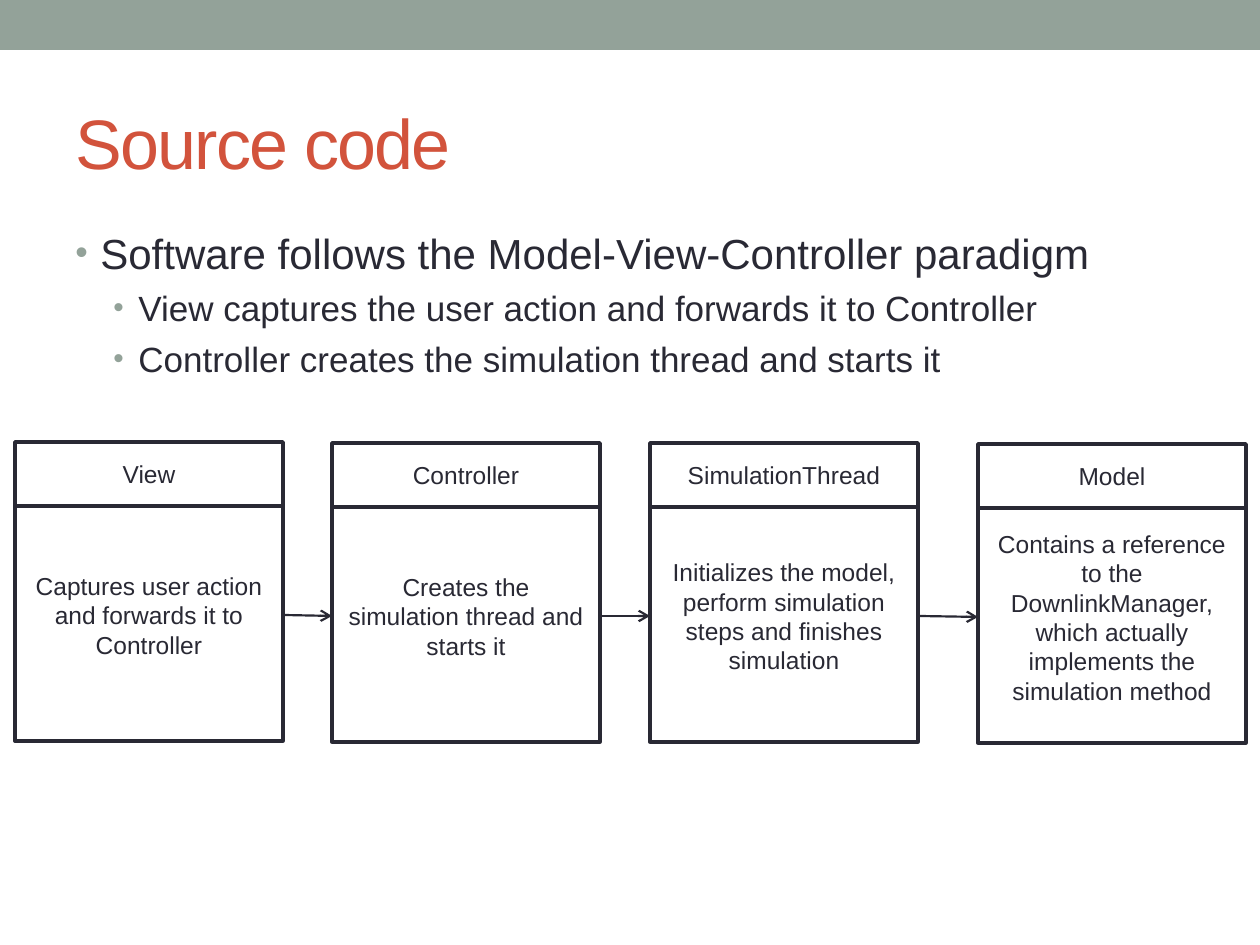
from itertools import pairwise

from lxml import etree
from pptx import Presentation
from pptx.dml.color import RGBColor
from pptx.enum.shapes import MSO_CONNECTOR, MSO_SHAPE
from pptx.enum.text import MSO_ANCHOR, PP_ALIGN
from pptx.oxml.ns import qn
from pptx.util import Emu, Pt

RECTANGLE = MSO_SHAPE.RECTANGLE
STRAIGHT = MSO_CONNECTOR.STRAIGHT
MIDDLE = MSO_ANCHOR.MIDDLE
CENTER = PP_ALIGN.CENTER

SAGE = RGBColor(0x93, 0xA2, 0x99)
RUST = RGBColor(0xD2, 0x53, 0x3C)
INK = RGBColor(0x29, 0x29, 0x34)
WHITE = RGBColor(0xFF, 0xFF, 0xFF)

EMU_PER_PX = 914400 / 126
CARD_WIDTH = 268
HEADER_HEIGHT = 64
DETAIL_OFFSET = 47
DETAIL_HEIGHT = 252

BULLETS = [
    ("Software follows the Model-View-Controller paradigm", 0, 24),
    ("View captures the user action and forwards it to Controller", 1, 20),
    ("Controller creates the simulation thread and starts it", 1, 20),
]
CARDS = [
    (15, 442, "View", "Captures user action and forwards it to Controller"),
    (332, 443, "Controller", "Creates the simulation thread and starts it"),
    (650, 443, "SimulationThread",
     "Initializes the model, perform simulation steps and finishes simulation"),
    (978, 444, "Model",
     "Contains a reference to the DownlinkManager, "
     "which actually implements the simulation method"),
]


def px(length):
    return Emu(round(length * EMU_PER_PX))


class SlideBuilder:
    font = "Arial"

    def __init__(self, slide):
        self.slide = slide

    def format_text(self, paragraph, size, color):
        for run in paragraph.runs:
            run.font.name = self.font
            run.font.size = Pt(size)
            run.font.color.rgb = color

    def box(self, shapes, left, top, width, height, fill, border=None):
        rect = shapes.add_shape(RECTANGLE, px(left), px(top), px(width), px(height))
        rect.shadow.inherit = False
        rect.fill.solid()
        rect.fill.fore_color.rgb = fill
        if border is None:
            rect.line.fill.background()
        else:
            rect.line.color.rgb = border
            rect.line.width = Pt(2)
        return rect

    def banner(self, height):
        self.box(self.slide.shapes, 0, 0, 1260, height, SAGE)

    def text_area(self, left, top, width, height):
        area = self.slide.shapes.add_textbox(px(left), px(top), px(width), px(height))
        area.text_frame.word_wrap = True
        return area.text_frame

    def title(self, text, left, top, width, height):
        frame = self.text_area(left, top, width, height)
        frame.vertical_anchor = MIDDLE
        frame.text = text
        heading = frame.paragraphs[0]
        self.format_text(heading, 40, RUST)
        heading.runs[0].font._element.set("spc", "-100")

    def bullets(self, items, left, top, width, height):
        frame = self.text_area(left, top, width, height)
        frame.text = "\n".join(text for text, _, _ in items)
        for paragraph, (_, level, size) in zip(frame.paragraphs, items):
            paragraph.level = level
            paragraph.space_before = Pt(5)
            self.format_text(paragraph, size, INK)
            properties = paragraph._p.get_or_add_pPr()
            properties.set("marL", str(px(25 + 38 * level)))
            properties.set("indent", str(px(-25)))
            bullet_color = etree.SubElement(properties, qn("a:buClr"))
            etree.SubElement(bullet_color, qn("a:srgbClr"), val=str(SAGE))
            etree.SubElement(properties, qn("a:buSzPct"), val="85000")
            etree.SubElement(properties, qn("a:buFont"), typeface=self.font)
            etree.SubElement(properties, qn("a:buChar"), char="•")

    def label_box(self, shapes, text, left, top, height):
        rect = self.box(shapes, left, top, CARD_WIDTH, height, WHITE, INK)
        frame = rect.text_frame
        frame.word_wrap = True
        frame.vertical_anchor = MIDDLE
        frame.text = text
        frame.paragraphs[0].alignment = CENTER
        self.format_text(frame.paragraphs[0], 14, INK)

    def class_card(self, left, top, name, detail):
        shapes = self.slide.shapes.add_group_shape().shapes
        self.label_box(shapes, detail, left, top + DETAIL_OFFSET, DETAIL_HEIGHT)
        self.label_box(shapes, name, left, top, HEADER_HEIGHT)

    def arrow(self, start, end):
        connector = self.slide.shapes.add_connector(STRAIGHT, *map(px, start + end))
        connector.line.color.rgb = INK
        connector.line.width = Pt(1.25)
        line = connector.line._get_or_add_ln()
        etree.SubElement(line, qn("a:tailEnd"), type="arrow")
        etree.SubElement(connector._element.spPr, qn("a:effectLst"))


def main():
    presentation = Presentation()
    presentation.slide_width = px(1260)
    presentation.slide_height = px(945)
    builder = SlideBuilder(presentation.slides.add_slide(presentation.slide_layouts[6]))

    builder.banner(50)
    builder.title("Source code", 63, 73, 1134, 136)
    builder.bullets(BULLETS, 63, 221, 1134, 672)

    for card in CARDS:
        builder.class_card(*card)
    arrow_offset = DETAIL_OFFSET + DETAIL_HEIGHT // 2
    for (left, top, *_), (next_left, next_top, *_) in pairwise(CARDS):
        builder.arrow((left + CARD_WIDTH, top + arrow_offset),
                      (next_left, next_top + arrow_offset))

    presentation.save("out.pptx")


if __name__ == "__main__":
    main()
